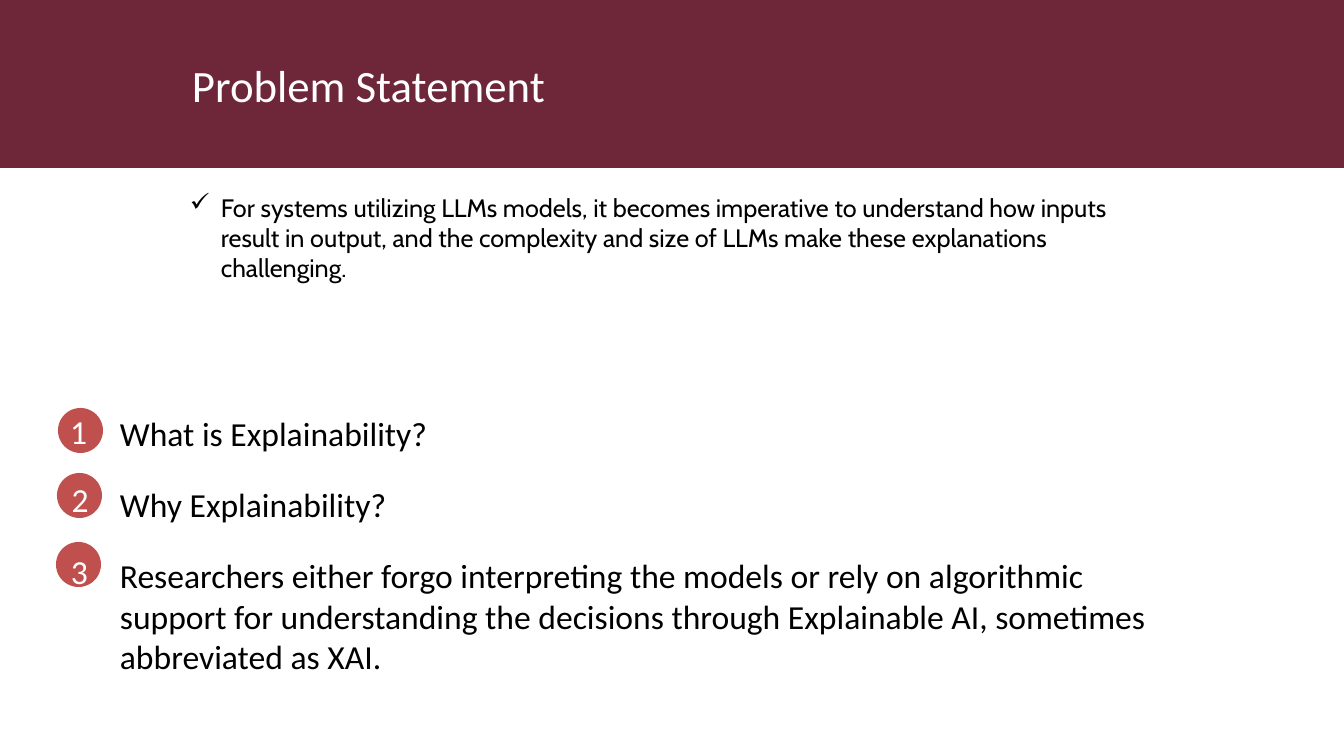
from lxml import etree
from pptx import Presentation
from pptx.dml.color import RGBColor
from pptx.enum.shapes import MSO_SHAPE
from pptx.enum.text import MSO_ANCHOR, PP_ALIGN
from pptx.oxml.ns import qn
from pptx.util import Emu, Pt

RECTANGLE, OVAL = MSO_SHAPE.RECTANGLE, MSO_SHAPE.OVAL
MIDDLE, TOP = MSO_ANCHOR.MIDDLE, MSO_ANCHOR.TOP
CENTER, LEFT = PP_ALIGN.CENTER, PP_ALIGN.LEFT

MAROON = RGBColor(0x6E, 0x26, 0x39)
RED = RGBColor(0xC0, 0x50, 0x4D)
WHITE = RGBColor(0xFF, 0xFF, 0xFF)
BLACK = RGBColor(0x00, 0x00, 0x00)

EMU_PER_PX = 914400 / 100.8
WIDTH, HEIGHT = 1344, 756
CIRCLE_SIZE = 45
NUMBER_HEIGHT = 50


def px(*lengths):
    """Turn px lengths into a list of EMU lengths."""
    return [Emu(round(length * EMU_PER_PX)) for length in lengths]


def add_text(box, lines, size, color, font="Calibri", align=LEFT, anchor=TOP):
    """Add a text box with one paragraph per line and return its text frame."""
    text_frame = slide.shapes.add_textbox(*px(*box)).text_frame
    text_frame.word_wrap = True
    text_frame.vertical_anchor = anchor
    text_frame.text = "\n".join(lines)
    for paragraph in text_frame.paragraphs:
        paragraph.alignment = align
        run_font = paragraph.runs[0].font
        run_font.name = font
        run_font.size = Pt(size)
        run_font.color.rgb = color
    return text_frame


presentation = Presentation()
presentation.slide_width, presentation.slide_height = px(WIDTH, HEIGHT)
slide = presentation.slides.add_slide(presentation.slide_layouts[6])

# Header band, title and numbered circles
filled_shapes = [
    (RECTANGLE, (0, 0, WIDTH, 168), MAROON),
    (OVAL, (58, 408, CIRCLE_SIZE, CIRCLE_SIZE), RED),
    (OVAL, (57, 473, CIRCLE_SIZE, CIRCLE_SIZE), RED),
    (OVAL, (56, 542, CIRCLE_SIZE, CIRCLE_SIZE), RED),
]
for kind, box, color in filled_shapes:
    shape = slide.shapes.add_shape(kind, *px(*box))
    shape.shadow.inherit = False
    shape.fill.solid()
    shape.fill.fore_color.rgb = color
    shape.line.fill.background()

title = add_text((179, 25, 1098, 126), ["Problem Statement"], 32, WHITE, anchor=MIDDLE)
title.margin_left, title.margin_right = px(13, 13)
title.margin_top, title.margin_bottom = px(7, 7)
title.paragraphs[0].line_spacing = 0.9

number_places = [(48, 406, 61), (53, 474, 54), (49, 546, 61)]
for number, place in enumerate(number_places, start=1):
    add_text((*place, NUMBER_HEIGHT), [str(number)], 24, WHITE, align=CENTER)

# Numbered questions
questions = add_text((110, 408, 1094, 297), [
    "What is Explainability?",
    "Why Explainability?",
    "Researchers either forgo interpreting the models or rely on algorithmic support "
    "for understanding the decisions through Explainable AI, sometimes abbreviated as XAI.",
], 24, BLACK)
for paragraph in questions.paragraphs:
    paragraph.space_before = Pt(10)
    paragraph.space_after = Pt(12)

# Check-marked statement
statement = add_text((180, 187, 996, 102), [
    "For systems utilizing LLMs models, it becomes imperative to understand how inputs "
    "result in output, and the complexity and size of LLMs make these explanations "
    "challenging.",
], 18, BLACK, font="Cabin")
properties = statement.paragraphs[0]._p.get_or_add_pPr()
indent = px(31)[0]
properties.set("marL", str(indent))
properties.set("indent", str(-indent))
etree.SubElement(properties, qn("a:buChar")).set("char", "✓")

presentation.save("out.pptx")
